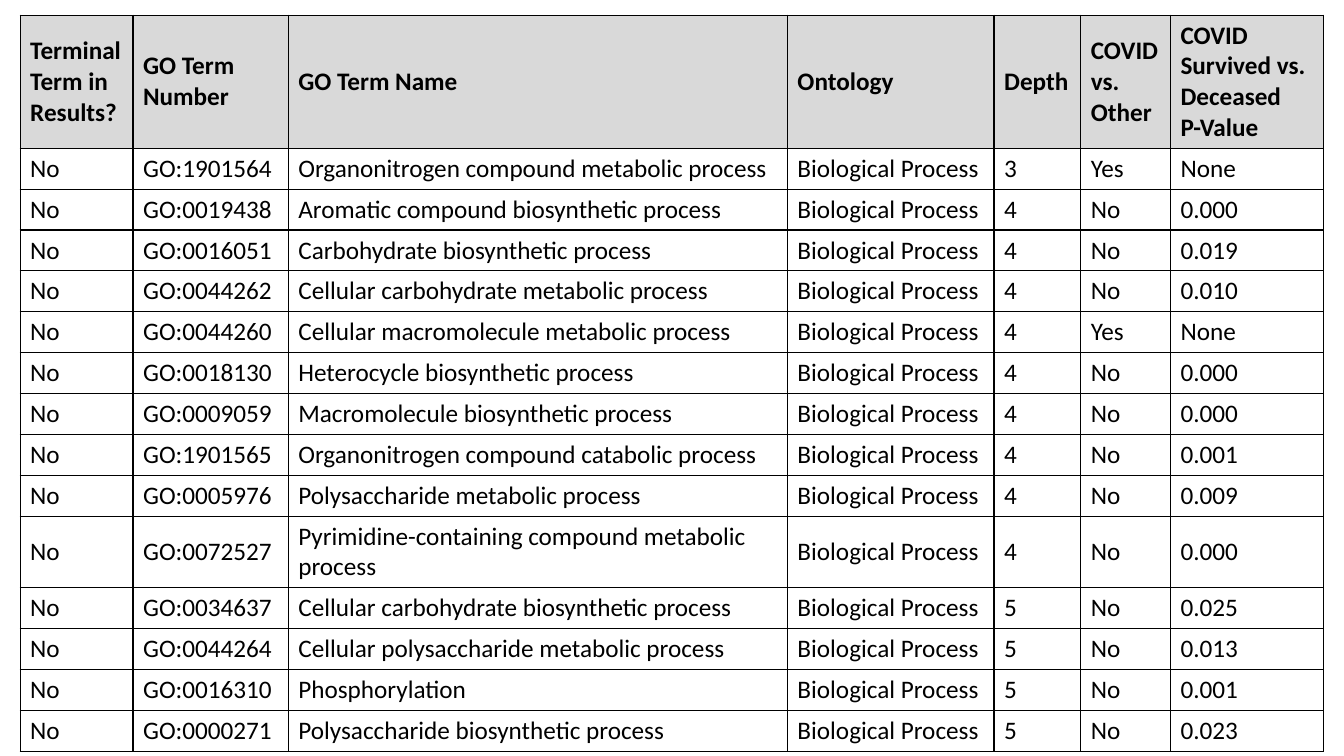
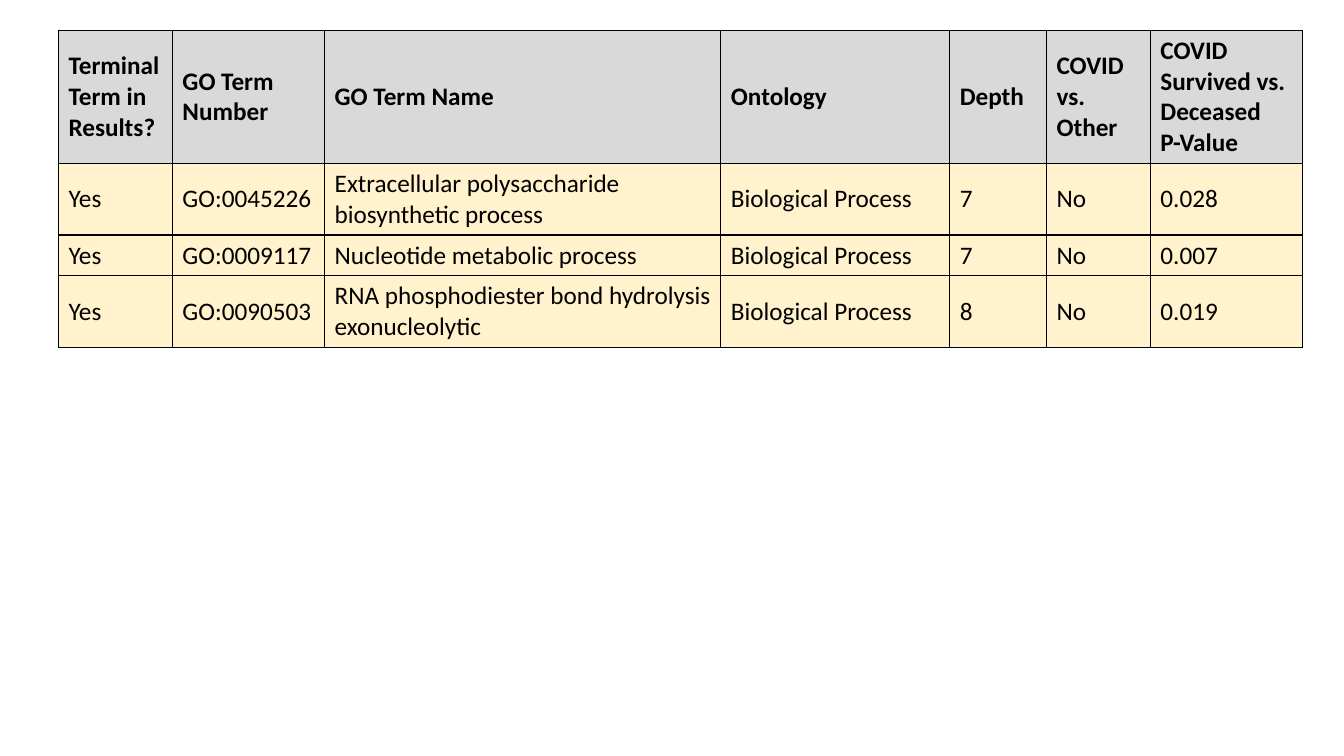
from dataclasses import dataclass

from lxml.etree import SubElement
from pptx import Presentation
from pptx.dml.color import RGBColor
from pptx.enum.text import MSO_ANCHOR
from pptx.oxml.ns import qn
from pptx.util import Inches, Pt


@dataclass(frozen=True)
class Theme:
    font: str = "Calibri"
    size: int = 18
    text: str = "000000"
    border: str = "000000"
    border_width: int = 1
    header: str = "D9D9D9"
    highlight: str = "FFF2CC"
    line_height: float = 0.3
    cell_padding: float = 0.1


@dataclass(frozen=True)
class Box:
    left: float
    top: float
    width: float


THEME = Theme()
SLIDE_WIDTH, SLIDE_HEIGHT = Inches(13.33), Inches(7.5)
ONTOLOGY = "Biological Process"
HEADERS = (
    "Terminal Term in Results?", "GO Term Number", "GO Term Name", "Ontology",
    "Depth", "COVID vs. Other", "COVID Survived vs. Deceased\nP-Value",
)
HEADER_LINES = 4

PARENT_WEIGHTS = (1.12, 1.54, 4.95, 2.05, 0.86, 0.89, 1.52)
PARENT_NAME_LIMIT = 45
PARENT_TERMS = (
    ("GO:1901564", "Organonitrogen compound metabolic process", "3", "Yes", "None"),
    ("GO:0019438", "Aromatic compound biosynthetic process", "4", "No", "0.000"),
    ("GO:0016051", "Carbohydrate biosynthetic process", "4", "No", "0.019"),
    ("GO:0044262", "Cellular carbohydrate metabolic process", "4", "No", "0.010"),
    ("GO:0044260", "Cellular macromolecule metabolic process", "4", "Yes", "None"),
    ("GO:0018130", "Heterocycle biosynthetic process", "4", "No", "0.000"),
    ("GO:0009059", "Macromolecule biosynthetic process", "4", "No", "0.000"),
    ("GO:1901565", "Organonitrogen compound catabolic process", "4", "No", "0.001"),
    ("GO:0005976", "Polysaccharide metabolic process", "4", "No", "0.009"),
    ("GO:0072527", "Pyrimidine-containing compound metabolic process", "4", "No", "0.000"),
    ("GO:0034637", "Cellular carbohydrate biosynthetic process", "5", "No", "0.025"),
    ("GO:0044264", "Cellular polysaccharide metabolic process", "5", "No", "0.013"),
    ("GO:0016310", "Phosphorylation", "5", "No", "0.001"),
    ("GO:0000271", "Polysaccharide biosynthetic process", "5", "No", "0.023"),
)

TERMINAL_WEIGHTS = (1.13, 1.51, 3.93, 2.27, 0.96, 1.03, 1.51)
TERMINAL_NAME_LIMIT = 35
TERMINAL_TERMS = (
    ("GO:0045226", "Extracellular polysaccharide biosynthetic process", "7", "No", "0.028"),
    ("GO:0009117", "Nucleotide metabolic process", "7", "No", "0.007"),
    ("GO:0090503", "RNA phosphodiester bond hydrolysis exonucleolytic", "8", "No", "0.019"),
)


def percent_box(left, top, width):
    return Box(
        SLIDE_WIDTH * left / 100, SLIDE_HEIGHT * top / 100, SLIDE_WIDTH * width / 100
    )


def row_height(lines):
    return Inches(THEME.cell_padding + THEME.line_height * lines)


def draw_borders(cell):
    properties = cell._tc.get_or_add_tcPr()
    for side in ("a:lnL", "a:lnR", "a:lnT", "a:lnB"):
        line = SubElement(properties, qn(side), w=str(Pt(THEME.border_width)))
        fill = SubElement(line, qn("a:solidFill"))
        SubElement(fill, qn("a:srgbClr"), val=THEME.border)


def fill_cell(cell, text, color, bold):
    draw_borders(cell)
    if color:
        cell.fill.solid()
        cell.fill.fore_color.rgb = RGBColor.from_string(color)
    else:
        cell.fill.background()
    cell.vertical_anchor = MSO_ANCHOR.MIDDLE
    cell.text_frame.text = text
    for paragraph in cell.text_frame.paragraphs:
        for run in paragraph.runs:
            run.font.name = THEME.font
            run.font.size = Pt(THEME.size)
            run.font.bold = bold
            run.font.color.rgb = RGBColor.from_string(THEME.text)


def add_term_table(slide, box, weights, terms, terminal, name_limit):
    body = [
        (terminal, number, name, ONTOLOGY, *results) for number, name, *results in terms
    ]
    lines = [HEADER_LINES] + [2 if len(row[2]) > name_limit else 1 for row in body]
    heights = [row_height(count) for count in lines]
    table = slide.shapes.add_table(
        len(heights), len(HEADERS),
        round(box.left), round(box.top), round(box.width), sum(heights),
    ).table
    table.horz_banding = False
    for column, weight in zip(table.columns, weights):
        column.width = round(box.width * weight / sum(weights))
    for row, height in zip(table.rows, heights):
        row.height = height

    body_color = THEME.highlight if terminal == "Yes" else None
    for row_index, values in enumerate([HEADERS, *body]):
        is_header = row_index == 0
        color = THEME.header if is_header else body_color
        for column_index, text in enumerate(values):
            fill_cell(table.cell(row_index, column_index), text, color, is_header)


def add_term_slide(presentation, *table_settings):
    slide = presentation.slides.add_slide(presentation.slide_layouts[6])
    add_term_table(slide, *table_settings)


def main():
    presentation = Presentation()
    presentation.slide_width, presentation.slide_height = SLIDE_WIDTH, SLIDE_HEIGHT
    add_term_slide(
        presentation, percent_box(1.5, 2, 97),
        PARENT_WEIGHTS, PARENT_TERMS, "No", PARENT_NAME_LIMIT,
    )
    add_term_slide(
        presentation, percent_box(4.35, 4, 92.57),
        TERMINAL_WEIGHTS, TERMINAL_TERMS, "Yes", TERMINAL_NAME_LIMIT,
    )
    presentation.save("out.pptx")


if __name__ == "__main__":
    main()
